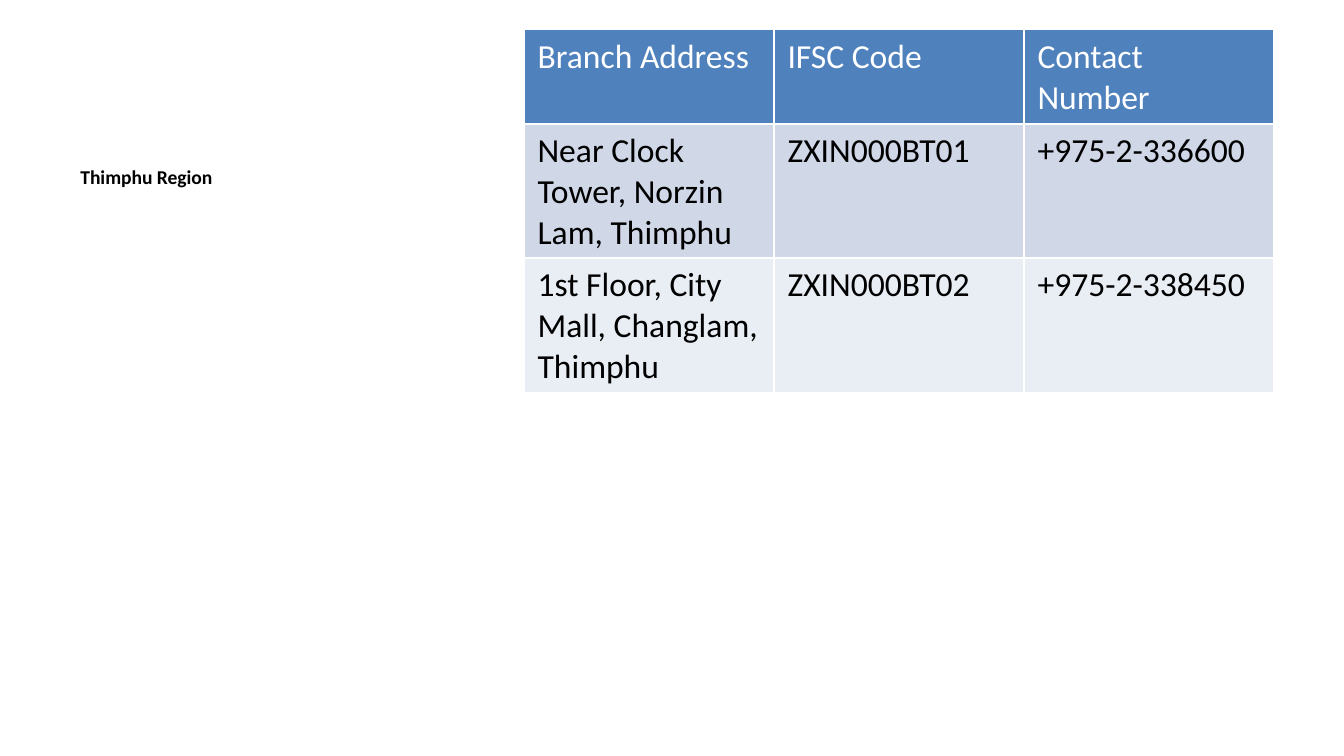
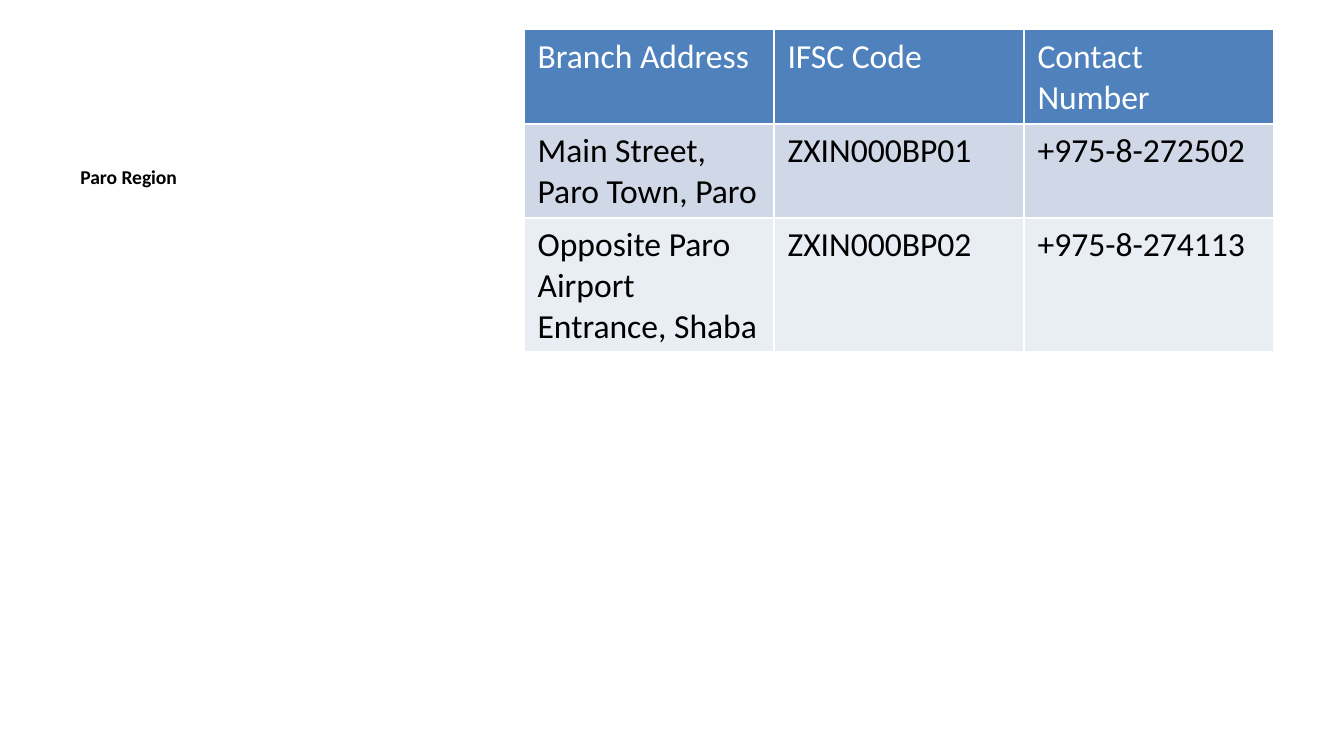
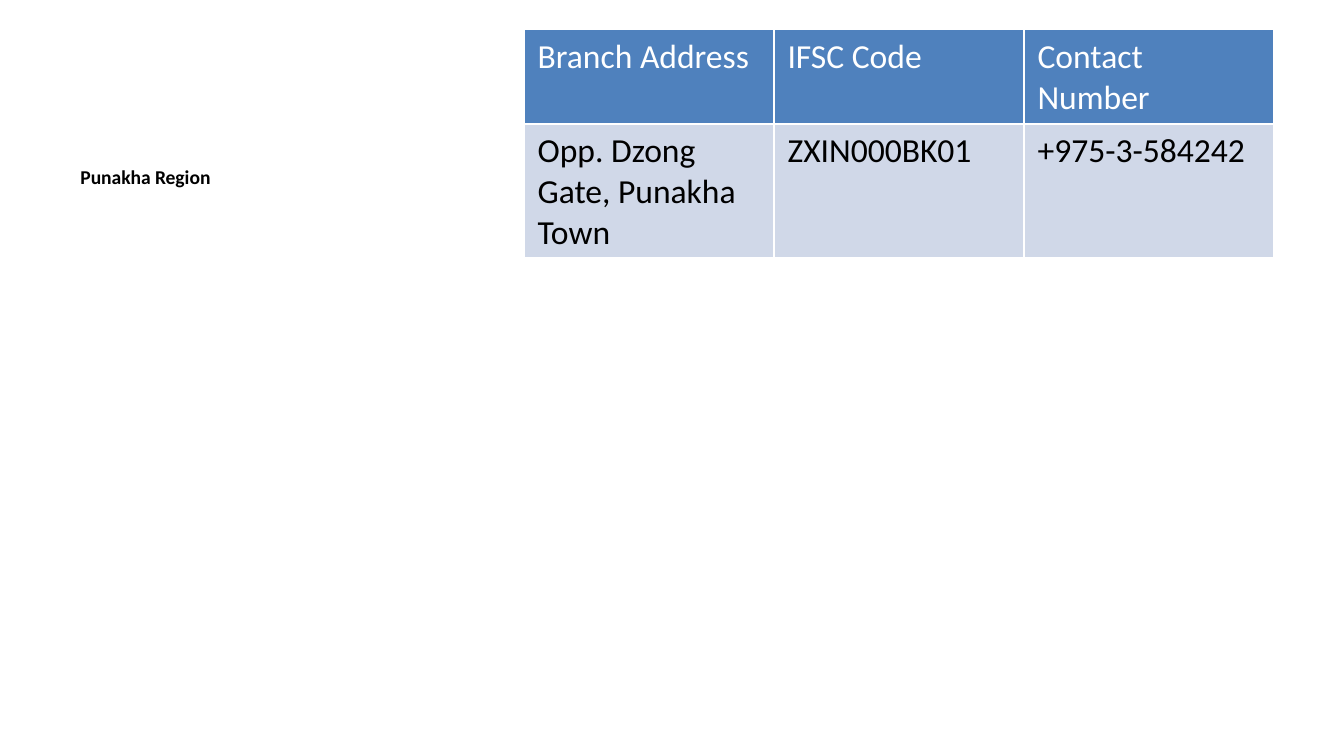
from dataclasses import dataclass

import pptx
import pptx.dml.color
import pptx.util

Inches = pptx.util.Inches


# Shared look
@dataclass(frozen=True)
class Theme:
    font: str = "Calibri"
    region_size: float = 10.5
    table_size: float = 18
    text: str = "000000"
    header_text: str = "FFFFFF"
    header_fill: str = "4F81BD"
    band_fills: tuple = ("D0D8E8", "E9EDF4")


THEME = Theme()
SLIDE_WIDTH = 10
SLIDE_HEIGHT = SLIDE_WIDTH * 9 / 16

# Content
HEADINGS = ("Branch Address", "IFSC Code", "Contact Number")
REGIONS = {
    "Thimphu Region": [
        ("Near Clock Tower, Norzin Lam, Thimphu", "ZXIN000BT01", "+975-2-336600"),
        ("1st Floor, City Mall, Changlam, Thimphu", "ZXIN000BT02", "+975-2-338450"),
    ],
    "Paro Region": [
        ("Main Street, Paro Town, Paro", "ZXIN000BP01", "+975-8-272502"),
        ("Opposite Paro Airport Entrance, Shaba", "ZXIN000BP02", "+975-8-274113"),
    ],
    "Punakha Region": [
        ("Opp. Dzong Gate, Punakha Town", "ZXIN000BK01", "+975-3-584242"),
    ],
}


def rgb(value):
    return pptx.dml.color.RGBColor.from_string(value)


def format_text(text_frame, size, color, bold=False):
    for paragraph in text_frame.paragraphs:
        for run in paragraph.runs:
            run.font.name = THEME.font
            run.font.size = pptx.util.Pt(size)
            run.font.bold = bold
            run.font.color.rgb = rgb(color)


def add_region_name(slide, name):
    box = slide.shapes.add_textbox(Inches(0.5), Inches(1.18), Inches(3.29), Inches(3.85))
    text_frame = box.text_frame
    text_frame.word_wrap = True
    text_frame.text = name
    format_text(text_frame, THEME.region_size, THEME.text, bold=True)


def fill_cell(cell, text, row_index):
    if row_index == 0:
        fill_color, text_color = THEME.header_fill, THEME.header_text
    else:
        bands = THEME.band_fills
        fill_color, text_color = bands[(row_index - 1) % len(bands)], THEME.text
    cell.fill.solid()
    cell.fill.fore_color.rgb = rgb(fill_color)
    cell.text_frame.text = text
    format_text(cell.text_frame, THEME.table_size, text_color)


def add_branch_table(slide, branches):
    rows = [HEADINGS, *branches]
    height = Inches(4.79)
    # The default table style supplies the white cell borders
    frame = slide.shapes.add_table(
        len(rows), len(HEADINGS), Inches(3.9), Inches(0.22), Inches(5.58), height)
    table = frame.table
    for row_index, texts in enumerate(rows):
        table.rows[row_index].height = Inches(0)  # rows grow to fit their text
        for column_index, text in enumerate(texts):
            fill_cell(table.cell(row_index, column_index), text, row_index)
    frame.height = height


def main():
    presentation = pptx.Presentation()
    presentation.slide_width = Inches(SLIDE_WIDTH)
    presentation.slide_height = Inches(SLIDE_HEIGHT)
    blank_layout = presentation.slide_layouts[6]

    # One slide per region
    for region, branches in REGIONS.items():
        slide = presentation.slides.add_slide(blank_layout)
        add_region_name(slide, region)
        add_branch_table(slide, branches)

    presentation.save("out.pptx")


if __name__ == "__main__":
    main()
